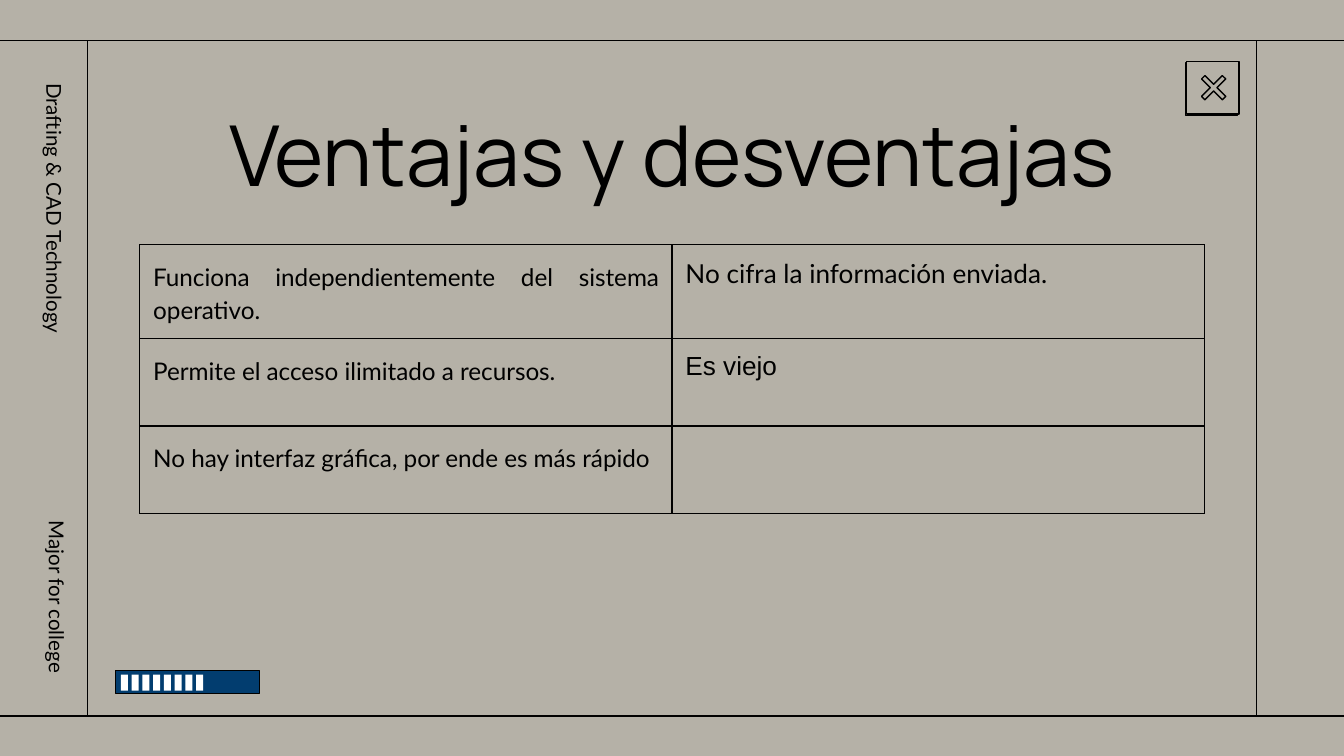
from lxml import etree
from pptx import Presentation
from pptx.dml.color import RGBColor
from pptx.enum.shapes import MSO_CONNECTOR, MSO_SHAPE
from pptx.enum.text import MSO_ANCHOR, PP_ALIGN
from pptx.oxml.ns import qn
from pptx.util import Inches, Pt

RECTANGLE = MSO_SHAPE.RECTANGLE
STRAIGHT = MSO_CONNECTOR.STRAIGHT
TOP, MIDDLE = MSO_ANCHOR.TOP, MSO_ANCHOR.MIDDLE
LEFT, CENTER, RIGHT, JUSTIFY = (
    PP_ALIGN.LEFT, PP_ALIGN.CENTER, PP_ALIGN.RIGHT, PP_ALIGN.JUSTIFY)

SLIDE_WIDTH, SLIDE_HEIGHT = Inches(10), Inches(5.625)
COLORS = {"paper": "B5B1A7", "ink": "000000", "bar": "023D6F", "tick": "FFFFFF"}
LINE_WIDTH = Pt(0.75)
PADDING = Inches(0.1)
MARGINS = ("margin_left", "margin_top", "margin_right", "margin_bottom")

PROS_FONT = {"name": "Lato", "size": Pt(13)}
PROS_FORMAT = {"alignment": JUSTIFY, "line_spacing": 1.15}
LABEL_FONT = {"name": "Lato", "size": Pt(11)}
LEFT_FORMAT = {"alignment": LEFT}
ROWS = [
    ("Funciona independientemente del sistema operativo.",
     "No cifra la información enviada.", "Lato"),
    ("Permite el acceso ilimitado a recursos.", "Es viejo", "Arial"),
    ("No hay interfaz gráfica, por ende es más rápido", "", "Lato"),
]
ROW_HEIGHTS = (12.44, 11.56, 11.56)


def across(percent):
    """Turn a percentage of the slide's width into a length."""
    return int(SLIDE_WIDTH * percent / 100)


def down(percent):
    """Turn a percentage of the slide's height into a length."""
    return int(SLIDE_HEIGHT * percent / 100)


def frame(left, top, width, height):
    return across(left), down(top), across(width), down(height)


def color(name):
    return RGBColor.from_string(COLORS[name])


def set_all(target, values):
    for name, value in values.items():
        setattr(target, name, value)


def set_outline(line):
    line.color.rgb = color("ink")
    line.width = LINE_WIDTH


def add_box(slide, place, fill, outlined=True):
    shape = slide.shapes.add_shape(RECTANGLE, *frame(*place))
    shape.shadow.inherit = False
    shape.fill.solid()
    shape.fill.fore_color.rgb = color(fill)
    if outlined:
        set_outline(shape.line)
    else:
        shape.line.fill.background()


def add_rule(slide, start_x, start_y, end_x, end_y):
    connector = slide.shapes.add_connector(
        STRAIGHT, across(start_x), down(start_y), across(end_x), down(end_y))
    set_outline(connector.line)
    etree.SubElement(connector._element.spPr, qn("a:effectLst"))


def add_cross(slide, center_x, center_y):
    """Draw a diagonal cross by turning one notch through four quarters."""
    notch = [(0.65, -0.9), (0, -0.25), (-0.65, -0.9)]
    points = []
    for _ in range(4):
        points += [(across(center_x + x), down(center_y) + across(y))
                   for x, y in notch]
        notch = [(y, -x) for x, y in notch]
    builder = slide.shapes.build_freeform(*points[0], scale=1)
    builder.add_line_segments(points[1:], close=True)
    shape = builder.convert_to_shape()
    shape.shadow.inherit = False
    shape.fill.background()
    set_outline(shape.line)


def write(text_frame, text, font, paragraph_format):
    paragraph = text_frame.paragraphs[0]
    set_all(paragraph, paragraph_format)
    run = paragraph.add_run()
    run.text = text
    set_all(run.font, font)
    run.font.color.rgb = color("ink")


def add_text(slide, place, text, font, paragraph_format, anchor, rotation=0):
    box = slide.shapes.add_textbox(*frame(*place))
    box.rotation = rotation
    text_frame = box.text_frame
    set_all(text_frame, dict.fromkeys(MARGINS, PADDING))
    set_all(text_frame, {"word_wrap": True, "vertical_anchor": anchor})
    write(text_frame, text, font, paragraph_format)


def style_cell(cell):
    set_all(cell, dict.fromkeys(MARGINS, PADDING))
    properties = cell._tc.get_or_add_tcPr()
    for side in ("a:lnL", "a:lnR", "a:lnT", "a:lnB"):
        border = etree.SubElement(properties, qn(side), w=str(LINE_WIDTH))
        fill = etree.SubElement(border, qn("a:solidFill"))
        etree.SubElement(fill, qn("a:srgbClr"), val=COLORS["ink"])
    cell.fill.background()


def add_comparison(slide):
    place = frame(10.4, 32.36, 79.2, sum(ROW_HEIGHTS))
    table = slide.shapes.add_table(len(ROWS), 2, *place).table
    set_all(table, {"first_row": False, "horz_banding": False})
    for index, (pro, con, con_font) in enumerate(ROWS):
        table.rows[index].height = down(ROW_HEIGHTS[index])
        pro_cell, con_cell = table.cell(index, 0), table.cell(index, 1)
        style_cell(pro_cell)
        style_cell(con_cell)
        write(pro_cell.text_frame, pro, PROS_FONT, PROS_FORMAT)
        if con:
            font = {"name": con_font, "size": Pt(14)}
            write(con_cell.text_frame, con, font, LEFT_FORMAT)


def add_progress_bar(slide):
    add_box(slide, (8.6, 88.71, 10.7, 3.02), "bar")
    for index in range(8):
        add_box(slide, (9 + 0.8 * index, 89.24, 0.52, 2.13), "tick", outlined=False)


def add_window_frame(slide):
    for y in (5.33, 94.7):
        add_rule(slide, -0.3, y, 100.3, y)
    for x in (6.5, 93.5):
        add_rule(slide, x, 94.7, x, 5.33)


def add_close_button(slide):
    add_box(slide, (88.3, 8.18, 3.9, 6.93), "paper")
    add_cross(slide, 90.3, 11.6)


def main():
    presentation = Presentation()
    set_all(presentation, {"slide_width": SLIDE_WIDTH, "slide_height": SLIDE_HEIGHT})
    slide = presentation.slides.add_slide(presentation.slide_layouts[6])
    slide.background.fill.solid()
    slide.background.fill.fore_color.rgb = color("paper")

    add_progress_bar(slide)
    add_box(slide, (88.2, 8.36, 3.9, 6.93), "paper")
    add_window_frame(slide)
    add_close_button(slide)
    add_text(slide, (-7.4, 27.91, 23.2, 3.91), "Drafting & CAD Technology", LABEL_FONT,
             {"alignment": LEFT, "line_spacing": 1.15, "space_after": Pt(12)},
             MIDDLE, 90)
    add_text(slide, (-6.1, 70.4, 20.7, 3.91), "Major for college", LABEL_FONT,
             {"alignment": RIGHT}, MIDDLE, 90)
    add_text(slide, (15.3, 11.73, 69.4, 11.2), "Ventajas y desventajas",
             {"name": "Manrope", "size": Pt(45)}, {"alignment": CENTER}, TOP)
    add_comparison(slide)
    presentation.save("out.pptx")


if __name__ == "__main__":
    main()
